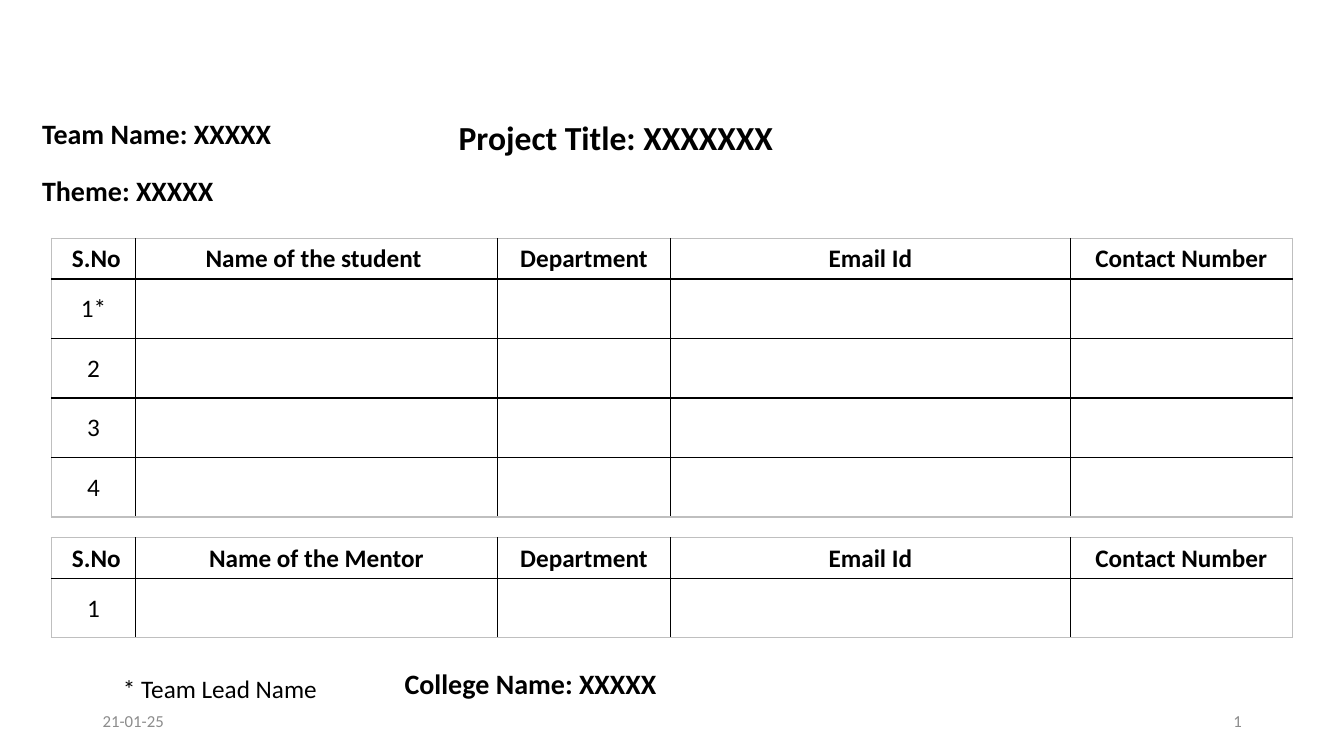
from dataclasses import dataclass

from lxml.etree import SubElement
from pptx import Presentation
from pptx.dml.color import RGBColor
from pptx.enum.text import MSO_ANCHOR, MSO_AUTO_SIZE, PP_ALIGN
from pptx.oxml.ns import qn
from pptx.slide import Slide
from pptx.table import _Cell
from pptx.text.text import TextFrame
from pptx.util import Pt


@dataclass(frozen=True)
class Theme:
    font: str = "Calibri"
    ink: str = "000000"
    muted: str = "8C8C8C"
    paper: str = "FFFFFF"
    frame: str = "BFBFBF"
    title: float = 24
    label: float = 20
    body: float = 18
    footer: float = 12


@dataclass(frozen=True)
class Label:
    text: str
    left: float
    top: float
    width: float
    height: float
    size: float
    color: str
    bold: bool = False
    wrap: bool = True
    align: PP_ALIGN = PP_ALIGN.LEFT
    anchor: MSO_ANCHOR = MSO_ANCHOR.TOP
    is_number: bool = False


@dataclass(frozen=True)
class Roster:
    top: float
    person: str
    numbers: tuple[str, ...]


THEME = Theme()
TABLE_LEFT = 36.8
COLUMN_WIDTHS = (60, 258.6, 123.5, 285.7, 158.6)
HEADER_HEIGHT = 28.9
ROW_HEIGHT = 42.5
FOOTER = dict(top=500.4, width=216, height=28.8, size=THEME.footer,
              color=THEME.muted, anchor=MSO_ANCHOR.MIDDLE)
HEADING = dict(height=31.5, size=THEME.label, color=THEME.ink, bold=True, wrap=False)

PROJECT_TITLE = Label("Project Title: XXXXXXX", 320.4, 79.9, 241.2, 36,
                      THEME.title, THEME.ink, bold=True, wrap=False)
LABELS = (
    Label("Team Name: XXXXX", left=23, top=79.9, width=179.3, **HEADING),
    Label("Theme: XXXXX", left=23, top=120.5, width=137.5, **HEADING),
    Label("* Team Lead Name", 80.8, 477.4, 479.5, 28.8, THEME.body, THEME.ink),
    Label("College Name: XXXXX", left=281.9, top=472.3, width=195.8, **HEADING),
    Label("21-01-25", left=66.2, **FOOTER),
    Label("1", left=678.2, align=PP_ALIGN.RIGHT, is_number=True, **FOOTER),
)
ROSTERS = (
    Roster(170.4, "Name of the student ", ("1*", "2", "3", "4")),
    Roster(384.2, "Name of the Mentor", ("1",)),
)


def write_text(frame: TextFrame, text: str, *, size: float, color: str,
               bold: bool = False, align: PP_ALIGN = PP_ALIGN.LEFT) -> None:
    paragraph = frame.paragraphs[0]
    paragraph.alignment = align
    run = paragraph.add_run()
    run.text = text
    run.font.name = THEME.font
    run.font.size = Pt(size)
    run.font.bold = bold
    run.font.color.rgb = RGBColor.from_string(color)


def make_slide_number(frame: TextFrame) -> None:
    """Turn the frame's only run into a slide number field."""
    run = frame.paragraphs[0].runs[0]._r
    run.tag = qn("a:fld")
    run.set("id", "{B6F15528-21DE-4FAA-801E-634DDDAF4B2B}")
    run.set("type", "slidenum")


def fill_label(shape, label: Label) -> None:
    shape.left, shape.top = Pt(label.left), Pt(label.top)
    shape.width, shape.height = Pt(label.width), Pt(label.height)
    frame = shape.text_frame
    frame.word_wrap = label.wrap
    frame.auto_size = MSO_AUTO_SIZE.NONE
    frame.vertical_anchor = label.anchor
    write_text(frame, label.text, size=label.size, color=label.color,
               bold=label.bold, align=label.align)
    if label.is_number:
        make_slide_number(frame)


def set_borders(cell: _Cell, colors: dict[str, str]) -> None:
    properties = cell._tc.get_or_add_tcPr()
    for position, (side, color) in enumerate(colors.items()):
        line = properties.makeelement(qn(f"a:{side}"), {"w": str(Pt(1))})
        fill = SubElement(line, qn("a:solidFill"))
        SubElement(fill, qn("a:srgbClr"), val=color)
        properties.insert(position, line)


def add_roster(slide: Slide, roster: Roster) -> None:
    header = (" S.No", roster.person, "Department", "Email Id", "Contact Number")
    blanks = ("",) * (len(header) - 1)
    rows = [header, *((number, *blanks) for number in roster.numbers)]
    heights = [HEADER_HEIGHT] + [ROW_HEIGHT] * len(roster.numbers)
    table = slide.shapes.add_table(
        len(rows), len(header), Pt(TABLE_LEFT), Pt(roster.top),
        Pt(sum(COLUMN_WIDTHS)), Pt(sum(heights))).table
    table.horz_banding = False
    for column, width in zip(table.columns, COLUMN_WIDTHS):
        column.width = Pt(width)
    last_row, last_column = len(rows) - 1, len(header) - 1
    for i, values in enumerate(rows):
        table.rows[i].height = Pt(heights[i])
        for j, text in enumerate(values):
            cell = table.cell(i, j)
            cell.margin_left = cell.margin_right = cell.margin_top = Pt(0.7)
            cell.margin_bottom = Pt(0)
            cell.vertical_anchor = MSO_ANCHOR.MIDDLE
            cell.fill.solid()
            cell.fill.fore_color.rgb = RGBColor.from_string(THEME.paper)
            outer = {"lnL": j == 0, "lnR": j == last_column,
                     "lnT": i == 0, "lnB": i == last_row}
            set_borders(cell, {side: THEME.frame if edge else THEME.ink
                               for side, edge in outer.items()})
            if text:
                write_text(cell.text_frame, text, size=THEME.body, color=THEME.ink,
                           bold=i == 0, align=PP_ALIGN.CENTER)


def main() -> None:
    presentation = Presentation()
    presentation.slide_width, presentation.slide_height = Pt(960), Pt(540)
    title_only = presentation.slide_layouts.get_by_name("Title Only")
    slide = presentation.slides.add_slide(title_only)
    fill_label(slide.shapes.title, PROJECT_TITLE)
    for roster in ROSTERS:
        add_roster(slide, roster)
    for label in LABELS:
        box = slide.shapes.add_textbox(Pt(0), Pt(0), Pt(0), Pt(0))
        fill_label(box, label)
    slide.shapes.title.text_frame.vertical_anchor = MSO_ANCHOR.TOP
    presentation.save("out.pptx")


if __name__ == "__main__":
    main()
